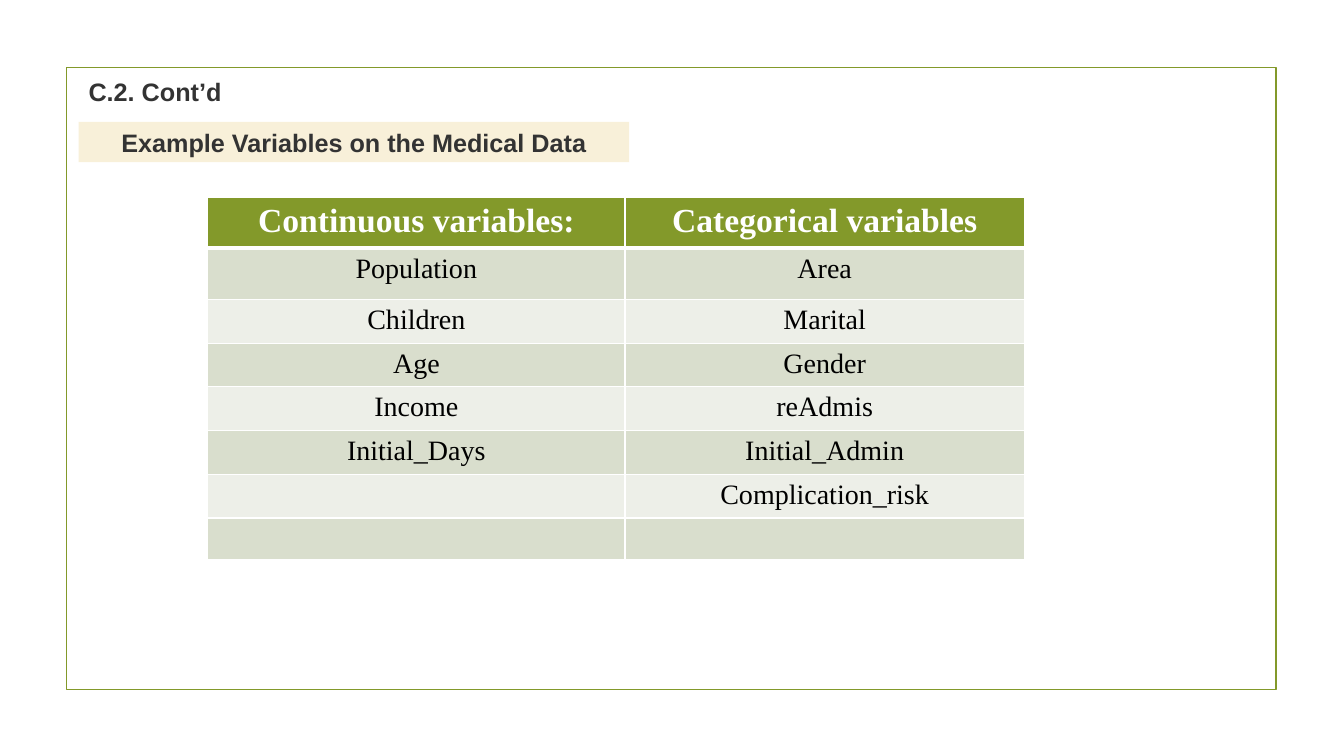
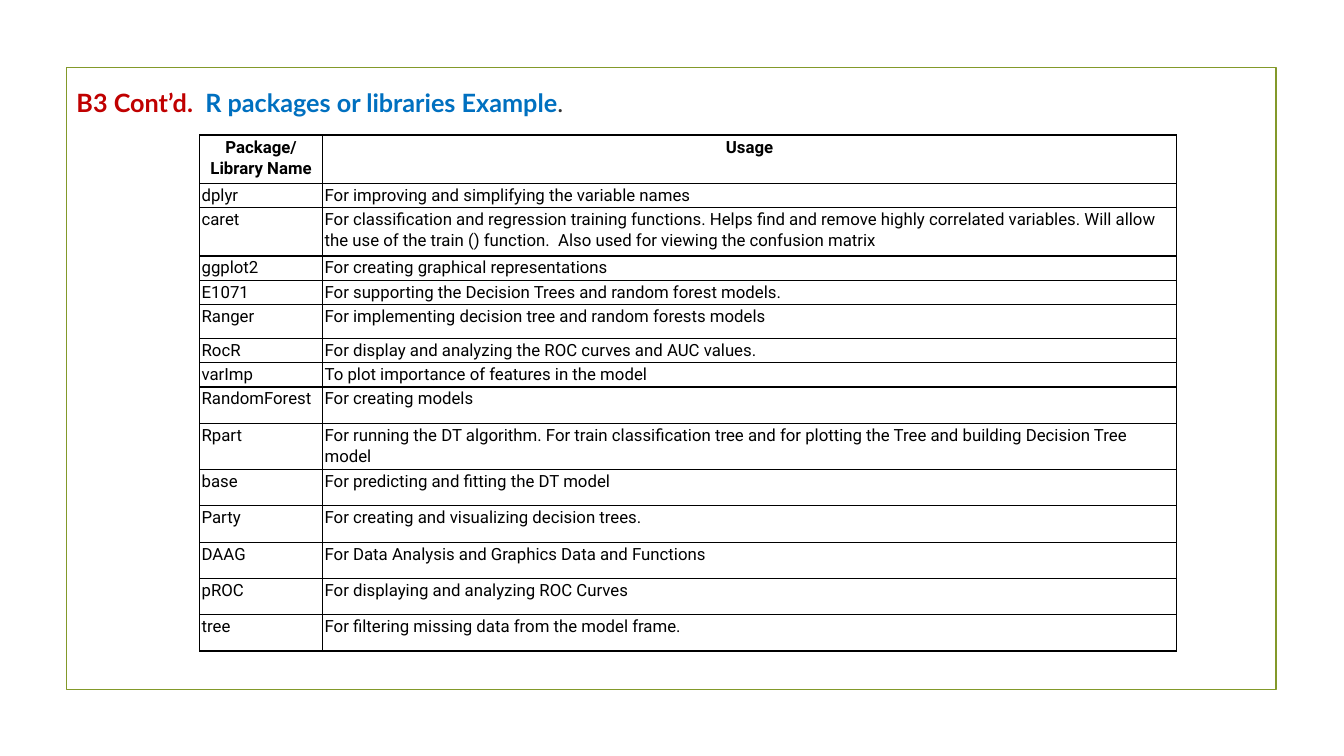
from lxml import etree
from pptx import Presentation
from pptx.dml.color import RGBColor
from pptx.enum.shapes import MSO_SHAPE
from pptx.enum.text import MSO_ANCHOR, PP_ALIGN
from pptx.oxml.ns import qn
from pptx.util import Inches, Pt

RECTANGLE = MSO_SHAPE.RECTANGLE
LEFT, CENTER = PP_ALIGN.LEFT, PP_ALIGN.CENTER
MIDDLE = MSO_ANCHOR.MIDDLE

COLORS = {
    "green": "83992A", "cream": "F8F0D9", "band": "D9DECD", "pale": "EDEFE8",
    "text": "333333", "red": "C00000", "blue": "0070C0",
    "black": "000000", "white": "FFFFFF",
}

# Text styles: font attributes plus a colour key
HEADING = {"name": "Arial", "size": Pt(18), "bold": True, "color": "text"}
TITLE_RED = {"name": "Lato", "size": Pt(18), "bold": True, "color": "red"}
TITLE_BLUE = {**TITLE_RED, "color": "blue"}
TITLE_END = {**TITLE_RED, "bold": False, "color": "text"}
VARIABLE_HEAD = {"name": "Times New Roman", "size": Pt(24), "bold": True, "color": "white"}
VARIABLE = {**VARIABLE_HEAD, "size": Pt(20), "bold": False, "color": "black"}
PACKAGE_HEAD = {"name": "Roboto", "size": Pt(12), "bold": True, "color": "black"}
PACKAGE = {**PACKAGE_HEAD, "bold": False}

# Cell and paragraph formats of the package table
TIGHT_CELL = {"margin_left": Inches(0.02), "margin_top": Inches(0.01),
              "margin_right": Inches(0.02), "margin_bottom": 0}
PACKAGE_SPACING = {"line_spacing": 1.07, "space_after": Pt(8)}

VARIABLE_ROWS = [
    ("Continuous variables:", "Categorical variables"),
    ("Population", "Area"),
    ("Children", "Marital"),
    ("Age", "Gender"),
    ("Income", "reAdmis"),
    ("Initial_Days", "Initial_Admin"),
    ("", "Complication_risk"),
    ("", ""),
]

# Row height, package, usage
PACKAGE_ROWS = [
    (0.48, "Package/Library Name", "Usage"),
    (0.24, "dplyr", "For improving and simplifying the variable names"),
    (0.48, "caret", "For classification and regression training functions. "
     "Helps find and remove highly correlated variables. Will allow the use of "
     "the train () function.  Also used for viewing the confusion matrix"),
    (0.24, "ggplot2", "For creating graphical representations"),
    (0.24, "E1071", "For supporting the Decision Trees and random forest models."),
    (0.34, "Ranger", "For implementing decision tree and random forests models"),
    (0.24, "RocR", "For display and analyzing the ROC curves and AUC values."),
    (0.24, "varImp", "To plot importance of features in the model"),
    (0.36, "RandomForest", "For creating models"),
    (0.46, "Rpart", "For running the DT algorithm. For train classification tree "
     "and for plotting the Tree and building Decision Tree model"),
    (0.36, "base", "For predicting and fitting the DT model"),
    (0.36, "Party", "For creating and visualizing decision trees."),
    (0.36, "DAAG", "For Data Analysis and Graphics Data and Functions"),
    (0.36, "pROC", "For displaying and analyzing ROC Curves"),
    (0.36, "tree", "For filtering missing data from the model frame."),
]


def rgb(key):
    return RGBColor.from_string(COLORS[key])


def apply(target, values):
    for attribute, value in values.items():
        setattr(target, attribute, value)


def write_runs(paragraph, runs, align=LEFT):
    paragraph.alignment = align
    for text, style in runs:
        run = paragraph.add_run()
        run.text = text
        apply(run.font, {key: value for key, value in style.items() if key != "color"})
        run.font.color.rgb = rgb(style["color"])


def add_box(slide, left, top, width, height, fill=None, line=None):
    box = slide.shapes.add_shape(
        RECTANGLE, Inches(left), Inches(top), Inches(width), Inches(height))
    box.shadow.inherit = False
    if fill:
        box.fill.solid()
        box.fill.fore_color.rgb = rgb(fill)
    else:
        box.fill.background()
    if line:
        box.line.color.rgb = rgb(line)
        box.line.width = Pt(1.25)
    else:
        box.line.fill.background()
    return box


def add_framed_slide(prs):
    slide = prs.slides.add_slide(prs.slide_layouts[6])
    add_box(slide, 0.66, 0.67, 12, 6.17, line="green")
    return slide


def add_title(slide, left, top, width, runs):
    title = slide.shapes.add_textbox(
        Inches(left), Inches(top), Inches(width), Inches(0.4))
    title.text_frame.word_wrap = True
    write_runs(title.text_frame.paragraphs[0], runs)


def add_banner(slide, left, top, width, text):
    banner = add_box(slide, left, top, width, 0.4, fill="cream")
    apply(banner.text_frame, {"word_wrap": True, "vertical_anchor": MIDDLE})
    write_runs(banner.text_frame.paragraphs[0], [(text, HEADING)], CENTER)


def add_grid(slide, left, top, widths, heights):
    table = slide.shapes.add_table(
        len(heights), len(widths), Inches(left), Inches(top),
        Inches(sum(widths)), Inches(sum(heights))).table
    for column, width in zip(table.columns, widths):
        column.width = Inches(width)
    for row, height in zip(table.rows, heights):
        row.height = Inches(height)
    return table


def set_borders(cell, color, top=1, bottom=1):
    properties = cell._tc.get_or_add_tcPr()
    for side, points in (("L", 1), ("R", 1), ("T", top), ("B", bottom)):
        border = etree.SubElement(properties, qn(f"a:ln{side}"), w=str(Pt(points)))
        fill = etree.SubElement(border, qn("a:solidFill"))
        etree.SubElement(fill, qn("a:srgbClr"), val=COLORS[color])


def add_variable_table(slide):
    heights = [0.41, 0.51] + [0.41] * 6
    table = add_grid(slide, 2.06, 1.96, [4.14, 3.96], heights)
    for r, names in enumerate(VARIABLE_ROWS):
        fill = "green" if r == 0 else ("pale", "band")[r % 2]
        style = VARIABLE if r else VARIABLE_HEAD
        for c, name in enumerate(names):
            cell = table.cell(r, c)
            set_borders(cell, "white", top=3 if r == 1 else 1, bottom=1 if r else 3)
            cell.fill.solid()
            cell.fill.fore_color.rgb = rgb(fill)
            if name:
                write_runs(cell.text_frame.paragraphs[0], [(name, style)], CENTER)


def add_package_table(slide):
    heights = [height for height, *_ in PACKAGE_ROWS]
    table = add_grid(slide, 1.98, 1.34, [1.22, 8.47], heights)
    for r, (_, *texts) in enumerate(PACKAGE_ROWS):
        style, align = (PACKAGE, LEFT) if r else (PACKAGE_HEAD, CENTER)
        for c, text in enumerate(texts):
            cell = table.cell(r, c)
            set_borders(cell, "black")
            cell.fill.background()
            apply(cell, TIGHT_CELL)
            paragraph = cell.text_frame.paragraphs[0]
            apply(paragraph, PACKAGE_SPACING)
            write_runs(paragraph, [(text, style)], align)


def main():
    prs = Presentation()
    prs.slide_width, prs.slide_height = Inches(13.33), Inches(7.5)

    # Variables of the medical data
    variables = add_framed_slide(prs)
    add_title(variables, 0.78, 0.71, 11.76, [("C.2. Cont’d", HEADING)])
    add_banner(variables, 0.78, 1.21, 5.46, "Example Variables on the Medical Data")
    add_variable_table(variables)

    # R packages and their usage
    packages = add_framed_slide(prs)
    add_title(packages, 0.66, 0.82, 11.31, [
        ("B3 Cont’d.  ", TITLE_RED),
        ("R packages or libraries Example", TITLE_BLUE),
        (".", TITLE_END),
    ])
    add_package_table(packages)

    prs.save("out.pptx")


if __name__ == "__main__":
    main()
